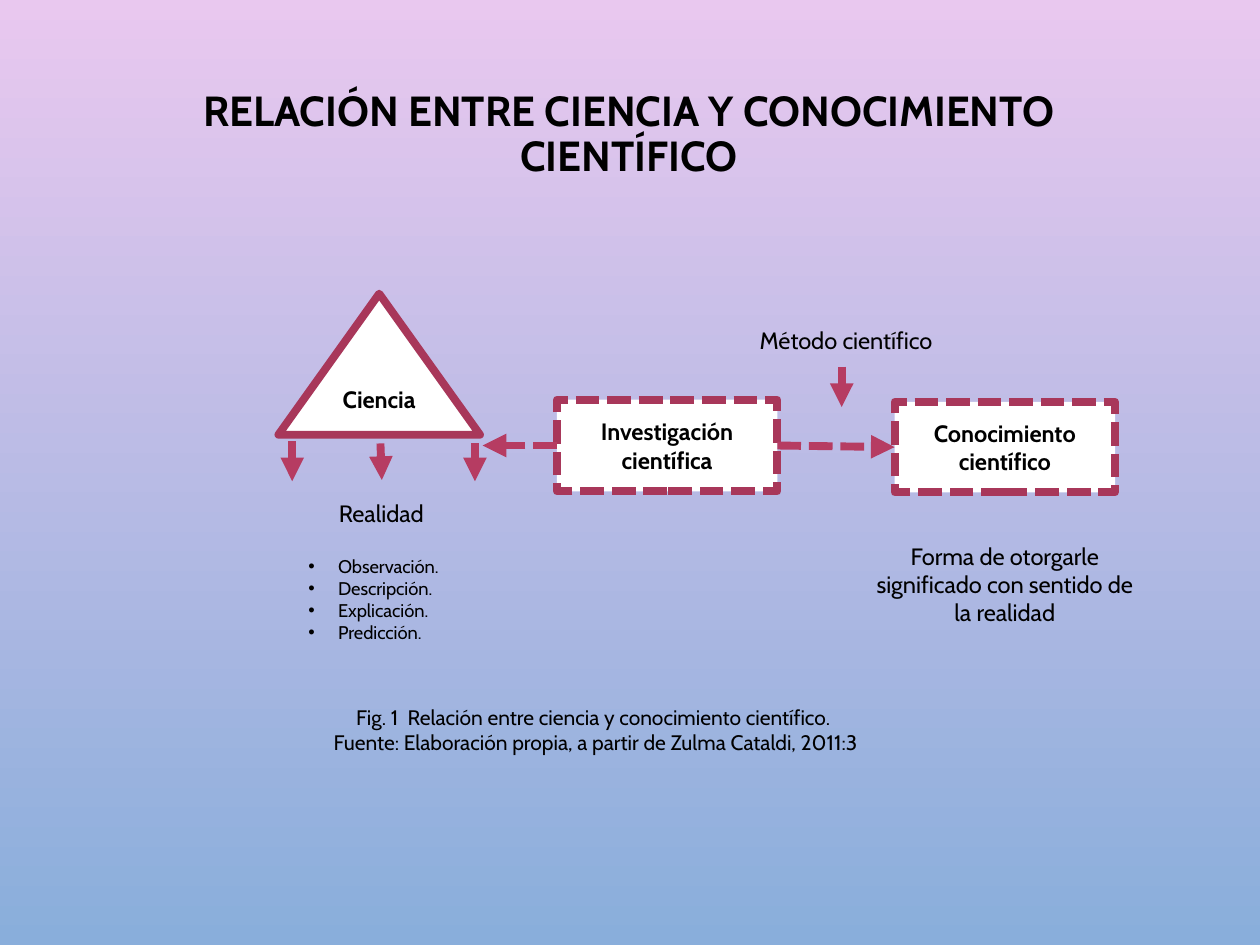
from dataclasses import dataclass

from lxml import etree
from pptx import Presentation
from pptx.dml.color import RGBColor
from pptx.enum.dml import MSO_LINE
from pptx.enum.shapes import MSO_CONNECTOR, MSO_SHAPE
from pptx.enum.text import MSO_ANCHOR, MSO_AUTO_SIZE, PP_ALIGN
from pptx.oxml.ns import qn
from pptx.util import Pt

DASHED = MSO_LINE.SQUARE_DOT
STRAIGHT = MSO_CONNECTOR.STRAIGHT
TRIANGLE = MSO_SHAPE.ISOSCELES_TRIANGLE
RECTANGLE = MSO_SHAPE.RECTANGLE
TOP, MIDDLE = MSO_ANCHOR.TOP, MSO_ANCHOR.MIDDLE
FIXED, GROW = MSO_AUTO_SIZE.NONE, MSO_AUTO_SIZE.SHAPE_TO_FIT_TEXT
LEFT, CENTER = PP_ALIGN.LEFT, PP_ALIGN.CENTER
LEFT_SIDE, RIGHT_SIDE = 1, 3


@dataclass(frozen=True)
class Theme:
    font: str = "Cabin"
    text: RGBColor = RGBColor(0, 0, 0)
    fill: RGBColor = RGBColor(255, 255, 255)
    outline: RGBColor = RGBColor.from_string("A8375A")
    arrow: RGBColor = RGBColor.from_string("B63C62")
    background_top: RGBColor = RGBColor.from_string("E9C8EF")
    background_bottom: RGBColor = RGBColor.from_string("89AEDB")
    title_size: float = 24
    label_size: float = 13.5
    caption_size: float = 12
    list_size: float = 10.5
    line_width: float = 4.5


THEME = Theme()


def points(values):
    return [Pt(value) for value in values]


def add_bullet(paragraph, indent):
    properties = paragraph._p.get_or_add_pPr()
    properties.set("marL", str(Pt(indent)))
    properties.set("indent", str(-Pt(indent)))
    etree.SubElement(properties, qn("a:buFont")).set("typeface", "Arial")
    etree.SubElement(properties, qn("a:buChar")).set("char", "•")


def write_text(frame, lines, size, bold=False, align=CENTER, bulleted=False):
    frame.word_wrap = True
    frame.text = "\n".join(lines)
    for paragraph in frame.paragraphs:
        if bulleted:
            add_bullet(paragraph, 16.9)
        paragraph.alignment = align
        font = paragraph.font
        font.name = THEME.font
        font.size = Pt(size)
        font.bold = bold
        font.color.rgb = THEME.text


def paint_background(slide):
    fill = slide.background.fill
    fill.gradient()
    fill.gradient_angle = 270
    colors = (THEME.background_top, THEME.background_bottom)
    for stop, position, color in zip(fill.gradient_stops, (0, 1), colors):
        stop.position = position
        stop.color.rgb = color


def set_title(slide, text, box):
    title = slide.shapes.title
    title.left, title.top, title.width, title.height = points(box)
    frame = title.text_frame
    write_text(frame, [text], THEME.title_size, bold=True)
    frame.auto_size = FIXED
    frame.vertical_anchor = MIDDLE
    frame.paragraphs[0].line_spacing = 0.9


def add_label(slide, lines, box, size=THEME.label_size, **style):
    frame = slide.shapes.add_textbox(*points(box)).text_frame
    write_text(frame, lines, size, **style)
    frame.auto_size = GROW
    frame.vertical_anchor = TOP
    return frame


def add_caption(slide, lines, box):
    frame = add_label(slide, lines, box, THEME.caption_size)
    frame.auto_size = FIXED
    frame.margin_right = Pt(-2.9)


def add_concept(slide, kind, text, box, dash=None):
    shape = slide.shapes.add_shape(kind, *points(box))
    shape.shadow.inherit = False
    shape.fill.solid()
    shape.fill.fore_color.rgb = THEME.fill
    shape.line.color.rgb = THEME.outline
    shape.line.width = Pt(THEME.line_width)
    shape.line.dash_style = dash
    write_text(shape.text_frame, [text], THEME.label_size, bold=True)
    shape.text_frame.vertical_anchor = MIDDLE
    return shape


def add_arrow(slide, start, end, dash=None):
    arrow = slide.shapes.add_connector(STRAIGHT, *points((*start, *end)))
    arrow.line.color.rgb = THEME.arrow
    arrow.line.width = Pt(THEME.line_width)
    arrow.line.dash_style = dash
    outline = arrow.line._get_or_add_ln()
    etree.SubElement(outline, qn("a:tailEnd")).set("type", "triangle")
    etree.SubElement(arrow._element.spPr, qn("a:effectLst"))
    return arrow


def main():
    presentation = Presentation()
    presentation.slide_width, presentation.slide_height = Pt(720), Pt(540)
    slide = presentation.slides.add_slide(presentation.slide_layouts[5])
    paint_background(slide)
    set_title(slide, "RELACIÓN ENTRE CIENCIA Y CONOCIMIENTO CIENTÍFICO",
              (62.6, 34.6, 593.3, 85.7))
    add_caption(slide, ["Fig. 1  Relación entre ciencia y conocimiento científico. ",
                        "Fuente: Elaboración propia, a partir de Zulma Cataldi, 2011:3"],
                (90, 398.9, 491, 51.8))

    add_concept(slide, TRIANGLE, "Ciencia", (159.1, 167.8, 115.2, 80.6))
    research = add_concept(slide, RECTANGLE, "Investigación científica",
                           (318.2, 228.4, 126, 52.4), DASHED)
    knowledge = add_concept(slide, RECTANGLE, "Conocimiento científico",
                            (511.2, 229.6, 126, 51.8), DASHED)

    add_label(slide, ["Método científico"], (427, 182.9, 121, 23.8), align=LEFT)
    add_label(slide, ["Forma de otorgarle significado con sentido de la realidad"],
              (492.5, 306, 163.4, 56.2))
    add_label(slide, ["Realidad"], (164.2, 281.5, 107.3, 23.8))
    add_label(slide, ["Observación.", "Descripción.", "Explicación.", "Predicción."],
              (169.2, 313.9, 96.5, 58.3), THEME.list_size, align=LEFT, bulleted=True)

    for start, end in (((167, 252), (167, 275)),
                       ((271.4, 253.4), (271.4, 275)),
                       ((217.4, 253.4), (218.2, 274.3)),
                       ((481, 209.5), (481, 232.6))):
        add_arrow(slide, start, end)

    to_knowledge = add_arrow(slide, (444.2, 254.6), (511.2, 255.5), DASHED)
    to_knowledge.begin_connect(research, RIGHT_SIDE)
    to_knowledge.end_connect(knowledge, LEFT_SIDE)
    to_science = add_arrow(slide, (318.2, 254.6), (275.8, 254.6), DASHED)
    to_science.begin_connect(research, LEFT_SIDE)

    presentation.save("out.pptx")


if __name__ == "__main__":
    main()
